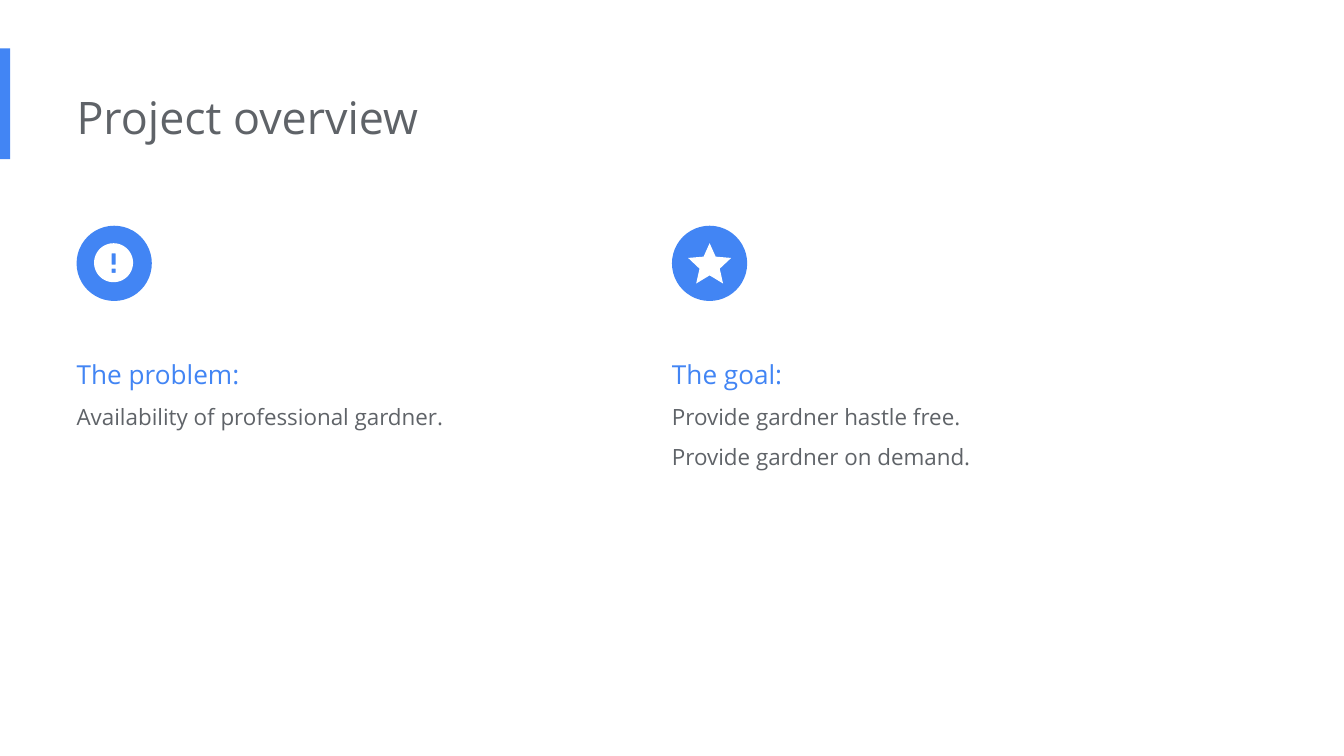
from dataclasses import dataclass
from math import cos, pi, sin

from pptx import Presentation
from pptx.dml.color import RGBColor
from pptx.enum.shapes import MSO_SHAPE as Shape
from pptx.enum.text import MSO_AUTO_SIZE as AutoSize
from pptx.util import Pt

PX = 4572  # EMU per px, 200 px to the inch
FONT = "Open Sans"
BLUE, GREY, WHITE = "4285F4", "5F6368", "FFFFFF"
ICON_TOP, ICON_SIZE = 336, 112
BODY_TOP, BODY_WIDTH = 490, 754

Point = tuple[float, float]


@dataclass
class Line:
    text: str
    size: int
    color: str


@dataclass
class Column:
    left: int
    height: int
    heading: str
    items: list[str]
    icon: list[list[Point]]


def rgb(value: str) -> RGBColor:
    return RGBColor.from_string(value)


def paint(s, color: str) -> None:
    s.shadow.inherit = False
    s.fill.solid()
    s.fill.fore_color.rgb = rgb(color)
    s.line.fill.background()


def add_solid(slide, kind: Shape, left: int, top: int, width: int, height: int) -> None:
    s = slide.shapes.add_shape(kind, left * PX, top * PX, width * PX, height * PX)
    paint(s, BLUE)


def add_outline(slide, contours: list[list[Point]]) -> None:
    """Draw closed contours as one white shape; inner contours are holes."""
    scaled = [[(x * PX, y * PX) for x, y in contour] for contour in contours]
    builder = slide.shapes.build_freeform(*scaled[0][0], scale=1.0)
    builder.add_line_segments(scaled[0][1:], close=True)
    for contour in scaled[1:]:
        builder.move_to(*contour[0])
        builder.add_line_segments(contour[1:], close=True)
    paint(builder.convert_to_shape(), WHITE)


def add_text(slide, left: int, top: int, width: int, height: int,
             lines: list[Line], spacing: float = 1.0) -> None:
    s = slide.shapes.add_textbox(left * PX, top * PX, width * PX, height * PX)
    tf = s.text_frame
    tf.word_wrap = True
    tf.auto_size = AutoSize.SHAPE_TO_FIT_TEXT
    tf.margin_left = 0
    tf.margin_top = tf.margin_right = tf.margin_bottom = 20 * PX
    tf.text = "\n".join(line.text for line in lines)
    for p, line in zip(tf.paragraphs, lines):
        p.line_spacing = spacing
        font = p.runs[0].font
        font.name, font.size = FONT, Pt(line.size)
        font.color.rgb = rgb(line.color)


def circle(cx: int, cy: int, radius: int, steps: int = 72) -> list[Point]:
    angles = [2 * pi * i / steps for i in range(steps)]
    return [(cx + radius * cos(a), cy + radius * sin(a)) for a in angles]


def bar(left: int, top: int, right: int, bottom: int) -> list[Point]:
    """Rectangle wound against the circle, so that it cuts a hole."""
    return [(left, top), (left, bottom), (right, bottom), (right, top)]


def add_column(slide, column: Column) -> None:
    lines = [Line(column.heading, 14, BLUE)]
    lines += [Line(item, 12, GREY) for item in column.items]
    add_text(slide, column.left, BODY_TOP, BODY_WIDTH, column.height, lines, 1.5)
    add_solid(slide, Shape.OVAL, column.left, ICON_TOP, ICON_SIZE, ICON_SIZE)
    add_outline(slide, column.icon)


EXCLAMATION = [circle(169, 391, 29), bar(166, 377, 172, 394), bar(166, 400, 172, 406)]
STAR = [[(1056, 410), (1076, 422), (1071, 400), (1088, 384), (1065, 382),
         (1056, 362), (1047, 382), (1024, 384), (1041, 400), (1036, 422)]]
COLUMNS = [
    Column(114, 172, "The problem:", ["Availability of professional gardner."], EXCLAMATION),
    Column(1000, 232, "The goal:",
           ["Provide gardner hastle free.", "Provide gardner on demand."], STAR),
]


def main() -> None:
    prs = Presentation()
    prs.slide_width, prs.slide_height = 2000 * PX, 1125 * PX
    slide = prs.slides.add_slide(prs.slide_layouts[6])
    add_solid(slide, Shape.RECTANGLE, 0, 72, 15, 165)
    add_text(slide, 114, 114, 1346, 122, [Line("Project overview", 24, GREY)])
    for column in COLUMNS:
        add_column(slide, column)
    prs.save("out.pptx")


if __name__ == "__main__":
    main()
